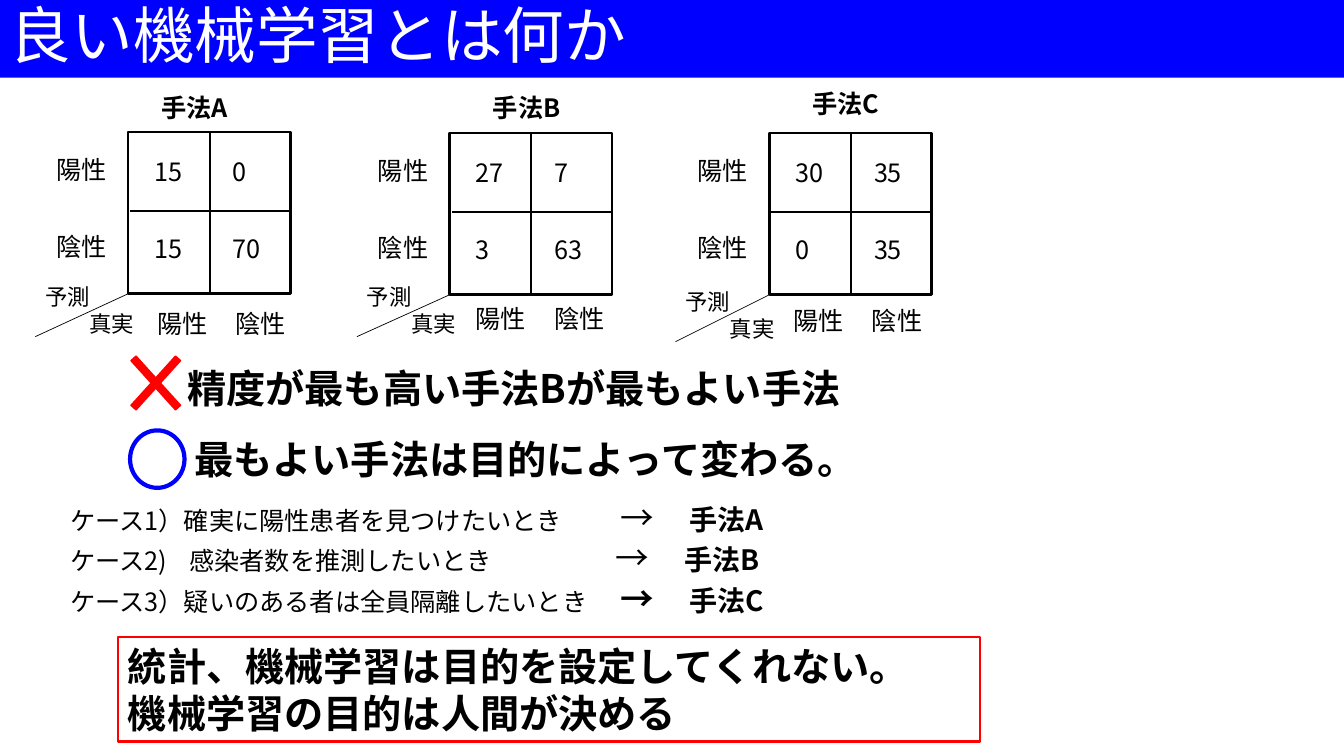
from lxml import etree
from pptx import Presentation
from pptx.dml.color import RGBColor
from pptx.enum.shapes import MSO_CONNECTOR as CONN, MSO_SHAPE as SHAPE
from pptx.enum.text import MSO_ANCHOR as ANCHOR
from pptx.oxml.ns import qn
from pptx.util import Inches, Pt

FONT = "Noto Sans CJK JP"
BLACK, WHITE = RGBColor(0, 0, 0), RGBColor(255, 255, 255)
BLUE, RED = RGBColor(0, 0, 255), RGBColor(255, 0, 0)

# Content: places are left, top in inches
TITLE = "良い機械学習とは何か"
CLASSES = ["陽性", "陰性"]
PREDICTED, TRUTH = "予測", "真実"
MATRICES = [
    dict(name="手法A", at=(1.27, 1.31), name_at=(1.5, 0.87),
         columns_at=(1.46, 3.01), corner_at=(0.35, 2.76), counts=[[15, 0], [15, 70]]),
    dict(name="手法B", at=(4.46, 1.32), name_at=(4.79, 0.87),
         columns_at=(4.62, 2.96), corner_at=(3.54, 2.76), counts=[[27, 7], [3, 63]]),
    dict(name="手法C", at=(7.63, 1.32), name_at=(7.96, 0.83),
         columns_at=(7.77, 2.98), corner_at=(6.7, 2.81), counts=[[30, 35], [0, 35]]),
]
WRONG = "精度が最も高い手法Bが最もよい手法"
RIGHT = "最もよい手法は目的によって変わる。"
# Case, arrow position, bold arrow, method
CASES = [
    ("ケース1）確実に陽性患者を見つけたいとき", 5.46, False, "手法A"),
    ("ケース2)\t感染者数を推測したいとき", 5.41, False, "手法B"),
    ("ケース3）疑いのある者は全員隔離したいとき", 5.46, True, "手法C"),
]
CONCLUSION = ["統計、機械学習は目的を設定してくれない。", "機械学習の目的は人間が決める"]

# Matrix geometry
BOX_W, BOX_H = 1.61, 1.6
PITCH_X, PITCH_Y = 0.78, 0.77
CASE_TEXT_TAB, METHOD_GAP = 1.18, 0.68

prs = Presentation()
prs.slide_width, prs.slide_height = Inches(13.33), Inches(7.5)
s = prs.slides.add_slide(prs.slide_layouts[6])


def add_run(p, text, size=18, bold=False, color=BLACK):
    r = p.add_run()
    r.text = text
    r.font.size, r.font.bold, r.font.name = Pt(size), bold, FONT
    r.font.color.rgb = color
    etree.SubElement(r._r.get_or_add_rPr(), qn("a:ea")).set("typeface", FONT)


def add_lines(sp, lines, **fmt):
    tf = sp.text_frame
    tf.word_wrap = True
    for i, line in enumerate(lines):
        p = tf.add_paragraph() if i else tf.paragraphs[0]
        add_run(p, line, **fmt)
    return tf


def add_text(x, y, w, h, *lines, **fmt):
    sp = s.shapes.add_textbox(Inches(x), Inches(y), Inches(w), Inches(h))
    return add_lines(sp, lines, **fmt)


def add_shape(kind, x, y, w, h, fill=None, line=None, width=1):
    sp = s.shapes.add_shape(kind, Inches(x), Inches(y), Inches(w), Inches(h))
    sp.shadow.inherit = False
    if fill is None:
        sp.fill.background()
    else:
        sp.fill.solid()
        sp.fill.fore_color.rgb = fill
    if line is None:
        sp.line.fill.background()
    else:
        sp.line.color.rgb, sp.line.width = line, Pt(width)
    return sp


def add_line(x1, y1, x2, y2, width=1.25):
    c = s.shapes.add_connector(CONN.STRAIGHT, Inches(x1), Inches(y1), Inches(x2), Inches(y2))
    c.line.color.rgb, c.line.width = BLACK, Pt(width)
    etree.SubElement(c._element.spPr, qn("a:effectLst"))


def align_left(tf):
    for p in tf.paragraphs:
        p._p.get_or_add_pPr().set("algn", "l")


def set_tabs(p, stops):
    tabs = etree.SubElement(p._p.get_or_add_pPr(), qn("a:tabLst"))
    for stop in stops:
        tab = etree.SubElement(tabs, qn("a:tab"))
        tab.set("pos", str(Inches(stop)))
        tab.set("algn", "l")


def add_matrix(name, at, name_at, columns_at, corner_at, counts):
    x, y = at
    add_shape(SHAPE.RECTANGLE, x, y, BOX_W, BOX_H, line=BLACK, width=2)
    add_line(x + 0.02, y + 0.78, x + BOX_W, y + 0.78)
    add_line(x + 0.81, y, x + 0.81, y + BOX_H)
    add_text(*name_at, 0.95, 0.4, name, bold=True)
    for i, label in enumerate(CLASSES):
        add_text(x - 0.81, y + 0.17 + i * PITCH_Y, 0.73, 0.4, label)
        add_text(columns_at[0] + i * PITCH_X, columns_at[1], 0.73, 0.4, label)
        for j, count in enumerate(counts[i]):
            add_text(x + 0.16 + j * PITCH_X, y + 0.19 + i * PITCH_Y, 0.49, 0.4, str(count))
    # Axis names on both sides of the slanted line
    cx, cy = corner_at
    tf = add_text(cx, cy, 1.44, 0.64, PREDICTED, TRUTH, size=16)
    tf.paragraphs[1]._p.get_or_add_pPr().set("marL", str(Inches(0.44)))
    add_line(cx, cy + 0.58, x + 0.01, y + BOX_H, width=0.5)


# Title bar
bar = add_shape(SHAPE.RECTANGLE, 0, 0, 13.33, 0.77, fill=BLUE)
tf = add_lines(bar, [TITLE], size=44, color=WHITE)
tf.vertical_anchor = ANCHOR.MIDDLE
tf.paragraphs[0].line_spacing = 0.9
align_left(tf)

# Confusion matrices
for matrix in MATRICES:
    add_matrix(**matrix)

# Wrong and right statements
add_text(1.76, 3.57, 7.27, 0.57, WRONG, size=28, bold=True)
cross = add_shape(SHAPE.MATH_MULTIPLY, 1.12, 3.33, 0.85, 0.94, fill=RED, line=RED)
cross.adjustments[0] = 0.08
add_shape(SHAPE.FLOWCHART_CONNECTOR, 1.29, 4.27, 0.54, 0.57, line=BLUE, width=3)
add_text(1.83, 4.27, 7.27, 0.57, RIGHT, size=28, bold=True)

# Cases and the method that suits each
tf = add_text(0.6, 4.88, 12.87, 1.31, *[case[0] for case in CASES])
for p, (_, arrow_x, bold_arrow, method) in zip(tf.paragraphs, CASES):
    set_tabs(p, [CASE_TEXT_TAB, arrow_x, arrow_x + METHOD_GAP])
    add_run(p, "\t→", size=24, bold=bold_arrow)
    add_run(p, "\t" + method, size=20, bold=True)

# Conclusion
frame = add_shape(SHAPE.RECTANGLE, 1.17, 6.32, 8.55, 1.04, line=RED, width=2)
tf = add_lines(frame, CONCLUSION, size=28, bold=True)
tf.vertical_anchor = ANCHOR.TOP
align_left(tf)

prs.save("out.pptx")
